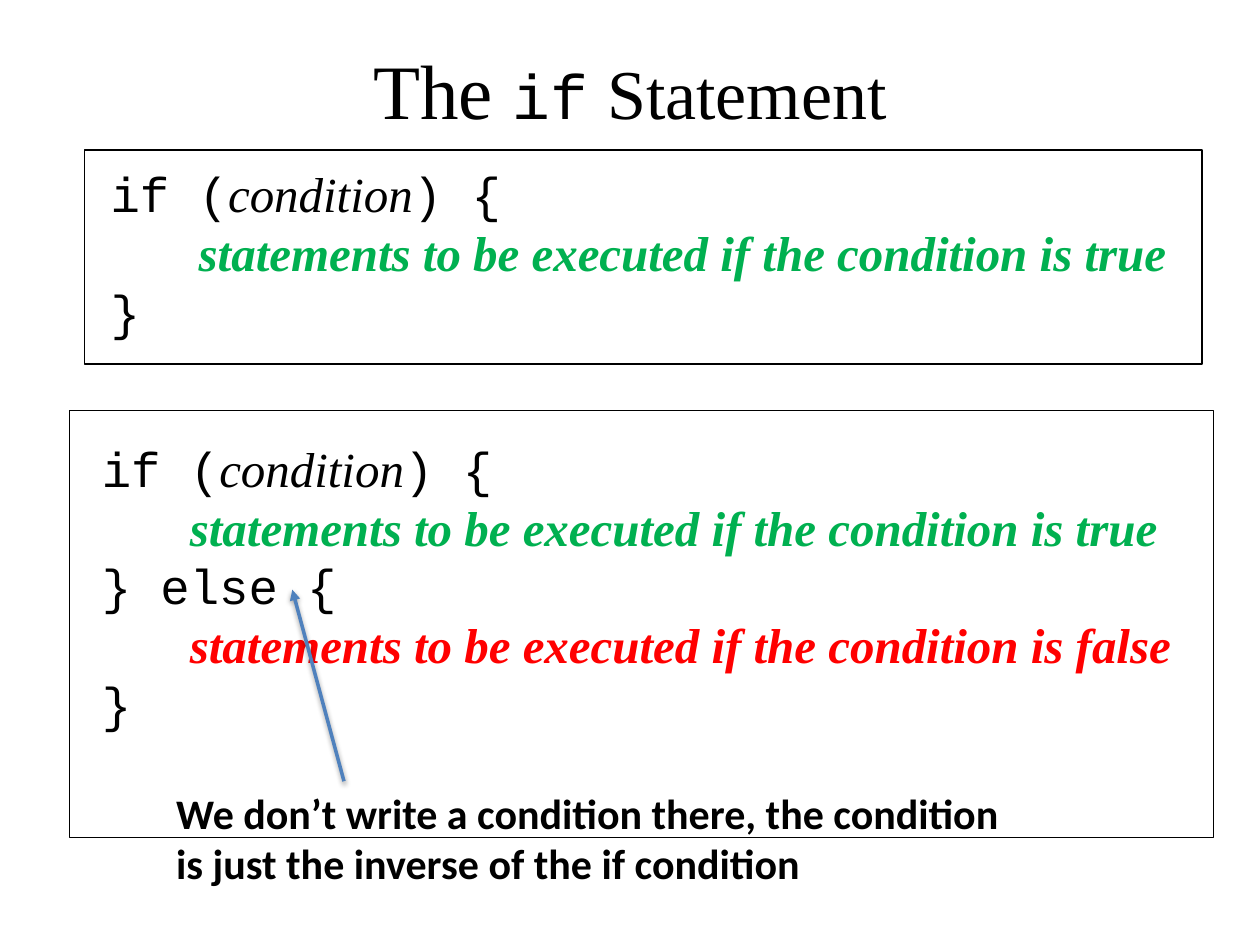
from dataclasses import dataclass

from lxml.etree import SubElement
from pptx import Presentation
from pptx.dml.color import RGBColor
from pptx.enum.shapes import MSO_CONNECTOR as Connector, MSO_SHAPE as Shape
from pptx.enum.text import MSO_ANCHOR as Anchor, PP_ALIGN as Align
from pptx.oxml.ns import qn
from pptx.util import Inches, Pt


@dataclass(frozen=True)
class Theme:
    ink: str = "000000"
    paper: str = "FFFFFF"
    true_branch: str = "00B050"
    false_branch: str = "FF0000"
    arrow: str = "4F81BD"
    code_font: str = "Courier New"
    serif: str = "Times New Roman"
    note_font: str = "Calibri"
    title_size: int = 44
    word_size: int = 40
    keyword_size: int = 36
    code_size: int = 28
    note_size: int = 24


THEME = Theme()


def add_run(paragraph, text, font, size, color=THEME.ink, bold=False, italic=False):
    run = paragraph.add_run()
    run.text = text
    run.font.name = font
    run.font.size = Pt(size)
    run.font.bold = bold
    run.font.italic = italic
    run.font.color.rgb = RGBColor.from_string(color)


def add_text_frame(shapes, box):
    frame = shapes.add_textbox(*map(Inches, box)).text_frame
    frame.word_wrap = True
    return frame


def code(text):
    return text, THEME.code_font, THEME.code_size


def branch(outcome, color):
    """Indented line describing what one branch executes."""
    statement = f"statements to be executed if the condition is {outcome}"
    return [(*code("   "), color, True),
            (statement, THEME.serif, THEME.code_size, color, True, True)]


IF_LINE = [code("if ("),
           ("condition", THEME.serif, THEME.code_size, THEME.ink, False, True),
           code(") {")]
TRUE_LINE = branch("true", THEME.true_branch)
FALSE_LINE = branch("false", THEME.false_branch)
ELSE_LINE = [code("} else {")]
END_LINE = [code("}")]


def add_title(slide, box):
    frame = add_text_frame(slide.shapes, box)
    frame.vertical_anchor = Anchor.MIDDLE
    heading = frame.paragraphs[0]
    heading.alignment = Align.CENTER
    add_run(heading, "The ", THEME.serif, THEME.title_size)
    add_run(heading, "if", THEME.code_font, THEME.keyword_size)
    add_run(heading, " ", THEME.serif, THEME.title_size)
    add_run(heading, "Statement", THEME.serif, THEME.word_size)


def add_code_panel(slide, box, text_box, lines):
    """Bordered panel grouped with its code; text_box is relative to box."""
    shapes = slide.shapes.add_group_shape().shapes
    panel = shapes.add_shape(Shape.RECTANGLE, *map(Inches, box))
    panel.shadow.inherit = False
    panel.fill.solid()
    panel.fill.fore_color.rgb = RGBColor.from_string(THEME.paper)
    panel.line.color.rgb = RGBColor.from_string(THEME.ink)
    panel.line.width = Pt(0.75)

    left, top, width, height = text_box
    frame = add_text_frame(shapes, (box[0] + left, box[1] + top, width, height))
    for index, line in enumerate(lines):
        paragraph = frame.add_paragraph() if index else frame.paragraphs[0]
        for run in line:
            add_run(paragraph, *run)


def add_arrow(slide, start, end):
    arrow = slide.shapes.add_connector(Connector.STRAIGHT, *map(Inches, (*start, *end)))
    arrow.line.color.rgb = RGBColor.from_string(THEME.arrow)
    arrow.line.width = Pt(2)
    SubElement(arrow.line._get_or_add_ln(), qn("a:tailEnd"), type="triangle")

    # Soft shadow straight below the line
    effects = SubElement(arrow._element.spPr, qn("a:effectLst"))
    shadow = SubElement(effects, qn("a:outerShdw"), blurRad=str(Pt(3.1)),
                        dist=str(Pt(1.6)), dir="5400000", rotWithShape="0")
    tint = SubElement(shadow, qn("a:srgbClr"), val=THEME.ink)
    SubElement(tint, qn("a:alpha"), val="38000")


def add_else_note(slide, box, target):
    """Remark on the else branch, with an arrow from its top edge to target."""
    left, top, _, _ = box
    add_arrow(slide, (left + 1.43, top), target)
    remark = add_text_frame(slide.shapes, box).paragraphs[0]
    add_run(remark, "We don’t write a condition there, the condition is just "
            "the inverse of the if condition",
            THEME.note_font, THEME.note_size, bold=True)


def main():
    deck = Presentation()
    deck.slide_width, deck.slide_height = Inches(10), Inches(7.5)
    slide = deck.slides.add_slide(deck.slide_layouts[6])

    # if / else form
    add_code_panel(slide, (0.55, 3.26, 9.08, 3.39), (0.16, 0.17, 8.84, 2.46),
                   [IF_LINE, TRUE_LINE, ELSE_LINE, FALSE_LINE, END_LINE])
    add_title(slide, (0, 0.08, 10, 1.25))
    # Simple if form
    add_code_panel(slide, (0.67, 1.19, 8.87, 1.7), (0.11, 0.06, 8.76, 1.52),
                   [IF_LINE, TRUE_LINE, END_LINE])
    add_else_note(slide, (1.3, 6.2, 6.75, 0.91), target=(2.32, 4.68))

    deck.save("out.pptx")


if __name__ == "__main__":
    main()
